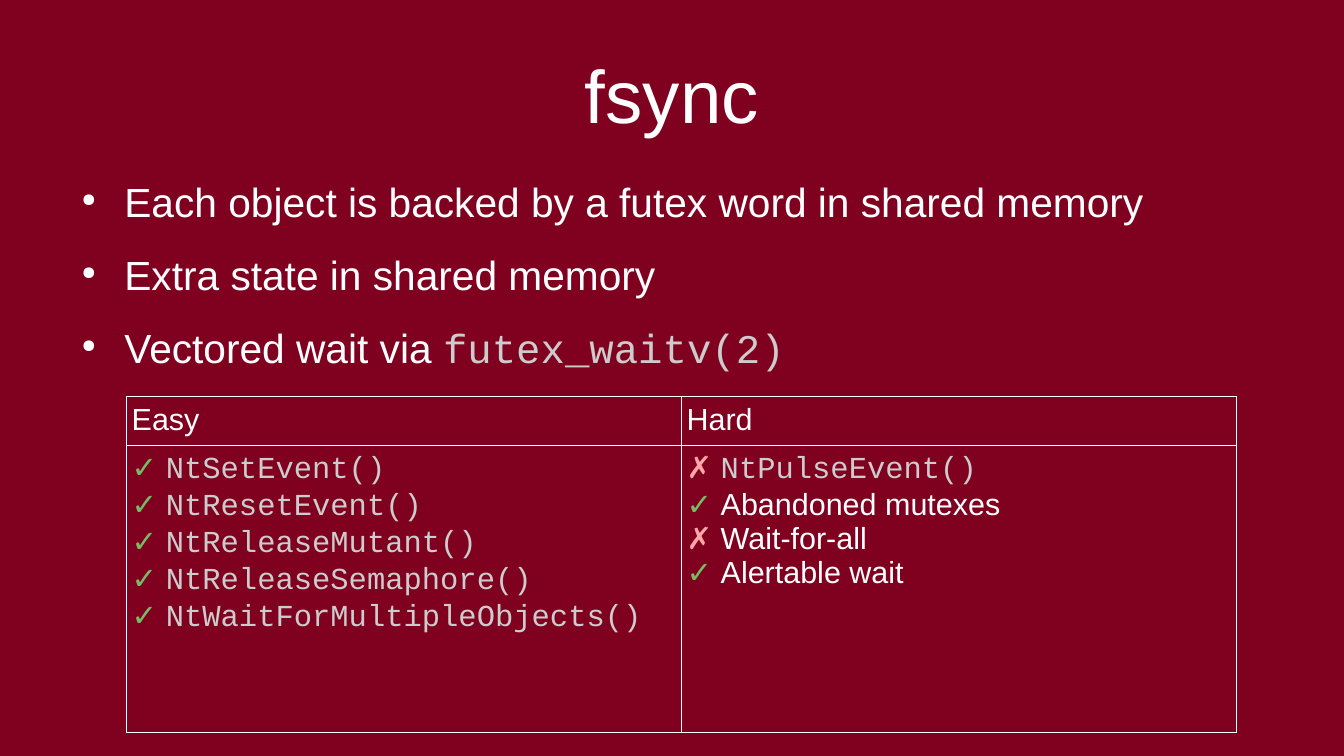
from pptx import Presentation
from pptx.dml.color import RGBColor
from pptx.enum.text import MSO_ANCHOR, PP_ALIGN
from pptx.oxml import parse_xml
from pptx.oxml.ns import nsdecls
from pptx.util import Inches, Pt

WHITE, GRAY, GREEN, PINK = "FFFFFF", "CCCCCC", "77BC65", "FFA6A6"
BODY_FONT, CODE_FONT = "Arial", "Courier New"


def color(value):
    return RGBColor.from_string(value)


def plain(text):
    return text, BODY_FONT, WHITE


def code(text):
    return text, CODE_FONT, GRAY


def easy(content):
    return [("✓ ", BODY_FONT, GREEN), content]


def hard(content):
    return [("✗ ", BODY_FONT, PINK), content]


class SlideBuilder:
    """Holds the style and the current slide, and adds its elements."""

    def __init__(self, slide, background):
        self.slide = slide
        slide.background.fill.solid()
        slide.background.fill.fore_color.rgb = color(background)

    def add_lines(self, text_frame, lines, size):
        for index, line in enumerate(lines):
            paragraph = text_frame.add_paragraph() if index else text_frame.paragraphs[0]
            for text, font, font_color in line:
                run = paragraph.add_run()
                run.text = text
                run.font.name = font
                run.font.size = Pt(size)
                run.font.bold = False
                run.font.color.rgb = color(font_color)

    def text_box(self, left, top, width, height, lines, size):
        shape = self.slide.shapes.add_textbox(
            Inches(left), Inches(top), Inches(width), Inches(height))
        text_frame = shape.text_frame
        text_frame.word_wrap = True
        text_frame.margin_left = text_frame.margin_right = 0
        text_frame.margin_top = text_frame.margin_bottom = 0
        self.add_lines(text_frame, lines, size)
        return text_frame

    def title(self, left, top, width, height, text):
        text_frame = self.text_box(left, top, width, height, [[plain(text)]], 44)
        text_frame.vertical_anchor = MSO_ANCHOR.MIDDLE
        text_frame.paragraphs[0].alignment = PP_ALIGN.CENTER

    def bullets(self, left, top, width, height, lines):
        text_frame = self.text_box(left, top, width, height, lines, 24)
        for index, paragraph in enumerate(text_frame.paragraphs):
            properties = paragraph._p.get_or_add_pPr()
            properties.set("marL", str(Inches(0.47)))
            properties.set("indent", str(Inches(-0.35)))
            for element in (f'<a:buClr {nsdecls("a")}><a:srgbClr val="{WHITE}"/></a:buClr>',
                            f'<a:buSzPct {nsdecls("a")} val="45000"/>',
                            f'<a:buChar {nsdecls("a")} char="●"/>'):
                properties.append(parse_xml(element))
            if index:
                paragraph.space_before = Pt(14.2)

    def cell_borders(self, cell):
        properties = cell._tc.get_or_add_tcPr()
        for side in ("lnL", "lnR", "lnT", "lnB"):
            properties.append(parse_xml(
                f'<a:{side} {nsdecls("a")} w="{Pt(0.57)}"><a:solidFill>'
                f'<a:srgbClr val="{WHITE}"/></a:solidFill></a:{side}>'))

    def table(self, left, top, column_width, row_heights, rows):
        columns = len(rows[0])
        table = self.slide.shapes.add_table(
            len(rows), columns, Inches(left), Inches(top),
            Inches(column_width * columns), Inches(sum(row_heights))).table
        table.first_row = table.horz_banding = False
        for column in table.columns:
            column.width = Inches(column_width)
        for row, height, contents in zip(table.rows, row_heights, rows):
            row.height = Inches(height)
            for cell, lines in zip(row.cells, contents):
                cell.margin_left = cell.margin_right = Inches(0.04)
                cell.margin_top = cell.margin_bottom = Inches(0.05)
                self.cell_borders(cell)
                cell.fill.background()
                self.add_lines(cell.text_frame, lines, 18)


def main():
    presentation = Presentation()
    presentation.slide_width = Inches(11.02)
    presentation.slide_height = Inches(6.2)
    slide = presentation.slides.add_slide(presentation.slide_layouts[6])
    builder = SlideBuilder(slide, "800020")

    builder.title(0.55, 0.25, 9.92, 1.04, "fsync")
    builder.bullets(0.55, 1.45, 9.92, 3.6, [
        [plain("Each object is backed by a futex word in shared memory")],
        [plain("Extra state in shared memory")],
        [plain("Vectored wait via "), code("futex_waitv(2)")],
    ])
    easy_calls = ("NtSetEvent()", "NtResetEvent()", "NtReleaseMutant()",
                  "NtReleaseSemaphore()", "NtWaitForMultipleObjects()")
    hard_cases = [
        hard(code("NtPulseEvent()")),
        easy(plain("Abandoned mutexes")),
        hard(plain("Wait-for-all")),
        easy(plain("Alertable wait")),
    ]
    builder.table(1.04, 3.25, 4.55, (0.37, 2.36), [
        [[[plain("Easy")]], [[plain("Hard")]]],
        [[easy(code(call)) for call in easy_calls], hard_cases],
    ])
    presentation.save("out.pptx")


if __name__ == "__main__":
    main()
